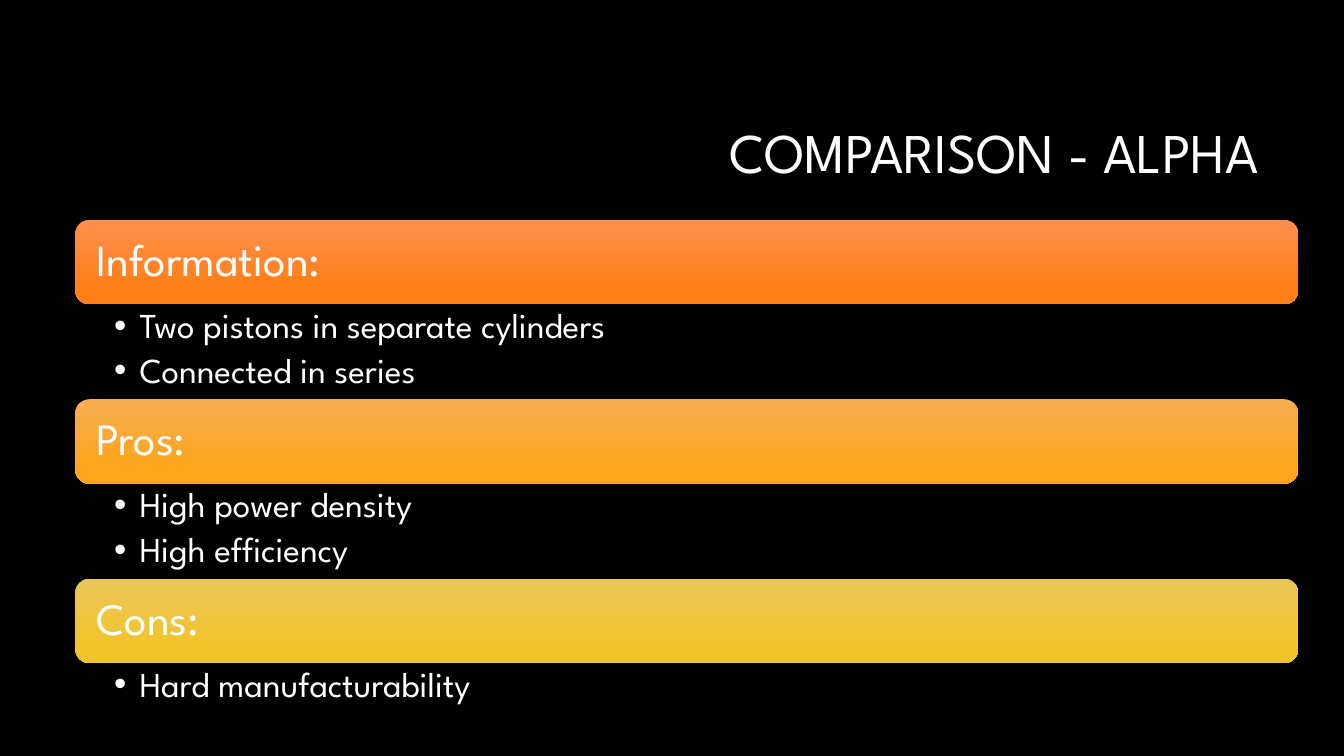
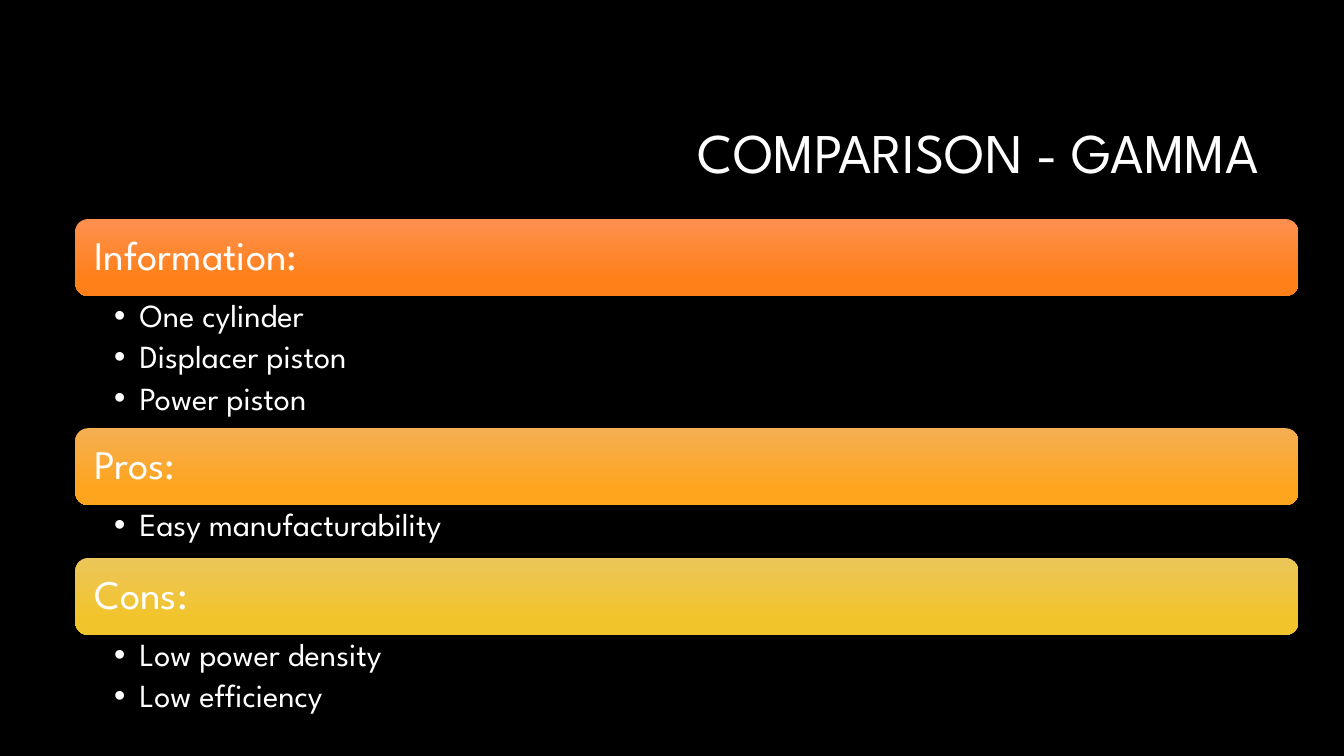
from lxml import etree
from pptx import Presentation
from pptx.dml.color import RGBColor
from pptx.enum.shapes import MSO_SHAPE as Preset
from pptx.enum.text import MSO_ANCHOR as Anchor, MSO_AUTO_SIZE as AutoSize, PP_ALIGN as Align
from pptx.oxml.ns import qn
from pptx.util import Cm, Pt

FONT = "League Spartan"
WHITE = "FFFFFF"
BLACK = "000000"
LEFT, WIDTH = 1.9, 30.82
LINE_SPACING = 0.9

# Heading, top colour and bottom colour of each bar
BARS = [
    ("Information:", "FE904F", "FF8019"),
    ("Pros:", "F5AE53", "FEA51D"),
    ("Cons:", "EBC659", "F2C42C"),
]

# Lengths are in centimetres; list_heights is keyed by the number of items
COMPARISONS = [
    {
        "title": "COMPARISON - ALPHA",
        "top": 5.54, "bar_height": 2.13, "heading_size": 32, "item_size": 25,
        "inset": 0.43, "list_heights": {1: 1.47, 2: 2.39},
        "lists": [
            ["Two pistons in separate cylinders", "Connected in series"],
            ["High power density", "High efficiency"],
            ["Hard manufacturability"],
        ],
    },
    {
        "title": "COMPARISON - GAMMA",
        "top": 5.52, "bar_height": 1.94, "heading_size": 29, "item_size": 23,
        "inset": 0.39, "list_heights": {1: 1.33, 2: 2.21, 3: 3.33},
        "lists": [
            ["One cylinder", "Displacer piston", "Power piston"],
            ["Easy manufacturability"],
            ["Low power density", "Low efficiency"],
        ],
    },
]


def color(hex_code):
    return RGBColor.from_string(hex_code)


def format_paragraph(paragraph, size, align=Align.LEFT):
    paragraph.alignment = align
    paragraph.line_spacing = LINE_SPACING
    for run in paragraph.runs:
        run.font.name = FONT
        run.font.size = Pt(size)
        run.font.color.rgb = color(WHITE)


def add_bullet(paragraph):
    """Give the paragraph a hanging bullet and 20 % space after."""
    properties = paragraph._p.get_or_add_pPr()
    properties.set("marL", str(Cm(0.64)))
    properties.set("indent", str(-Cm(0.64)))
    space_after = etree.SubElement(properties, qn("a:spcAft"))
    etree.SubElement(space_after, qn("a:spcPct"), val="20000")
    etree.SubElement(properties, qn("a:buFont"), typeface="Arial")
    etree.SubElement(properties, qn("a:buChar"), char="•")


def set_title(slide, text):
    title = slide.shapes.title
    title.left, title.top, title.width, title.height = Cm(8.05), Cm(2.13), Cm(23.93), Cm(3.58)
    frame = title.text_frame
    frame.text = text
    frame.auto_size = AutoSize.NONE
    frame.vertical_anchor = Anchor.MIDDLE
    format_paragraph(frame.paragraphs[0], 40, Align.RIGHT)


def add_heading_bar(slide, top, height, heading, colors, size, inset):
    bar = slide.shapes.add_shape(Preset.ROUNDED_RECTANGLE, Cm(LEFT), Cm(top), Cm(WIDTH), Cm(height))
    bar.shadow.inherit = False
    bar.line.fill.background()
    bar.fill.gradient()
    bar.fill.gradient_angle = 270
    for stop, position, hex_code in zip(bar.fill.gradient_stops, (0, 0.78), colors):
        stop.position = position
        stop.color.rgb = color(hex_code)
    frame = bar.text_frame
    frame.text = heading
    frame.vertical_anchor = Anchor.MIDDLE
    frame.margin_left = frame.margin_right = Cm(inset)
    format_paragraph(frame.paragraphs[0], size)


def add_bullet_list(slide, top, height, items, size):
    box = slide.shapes.add_textbox(Cm(LEFT), Cm(top), Cm(WIDTH), Cm(height))
    frame = box.text_frame
    frame.word_wrap = True
    frame.margin_left, frame.margin_right = Cm(0.98), Cm(0.6)
    frame.margin_top = frame.margin_bottom = Cm(0.1)
    frame.text = "\n".join(items)
    for paragraph in frame.paragraphs:
        add_bullet(paragraph)
        format_paragraph(paragraph, size)


def add_comparison(presentation, comparison):
    slide = presentation.slides.add_slide(presentation.slide_layouts.get_by_name("Title Only"))
    set_title(slide, comparison["title"])
    top, bar_height = comparison["top"], comparison["bar_height"]
    for (heading, *colors), items in zip(BARS, comparison["lists"]):
        add_heading_bar(slide, top, bar_height, heading, colors,
                        comparison["heading_size"], comparison["inset"])
        top += bar_height
        list_height = comparison["list_heights"][len(items)]
        add_bullet_list(slide, top, list_height, items, comparison["item_size"])
        top += list_height


def main():
    presentation = Presentation()
    presentation.slide_width, presentation.slide_height = Cm(33.87), Cm(19.05)
    background = presentation.slide_master.background.fill
    background.solid()
    background.fore_color.rgb = color(BLACK)
    for comparison in COMPARISONS:
        add_comparison(presentation, comparison)
    presentation.save("out.pptx")


if __name__ == "__main__":
    main()
